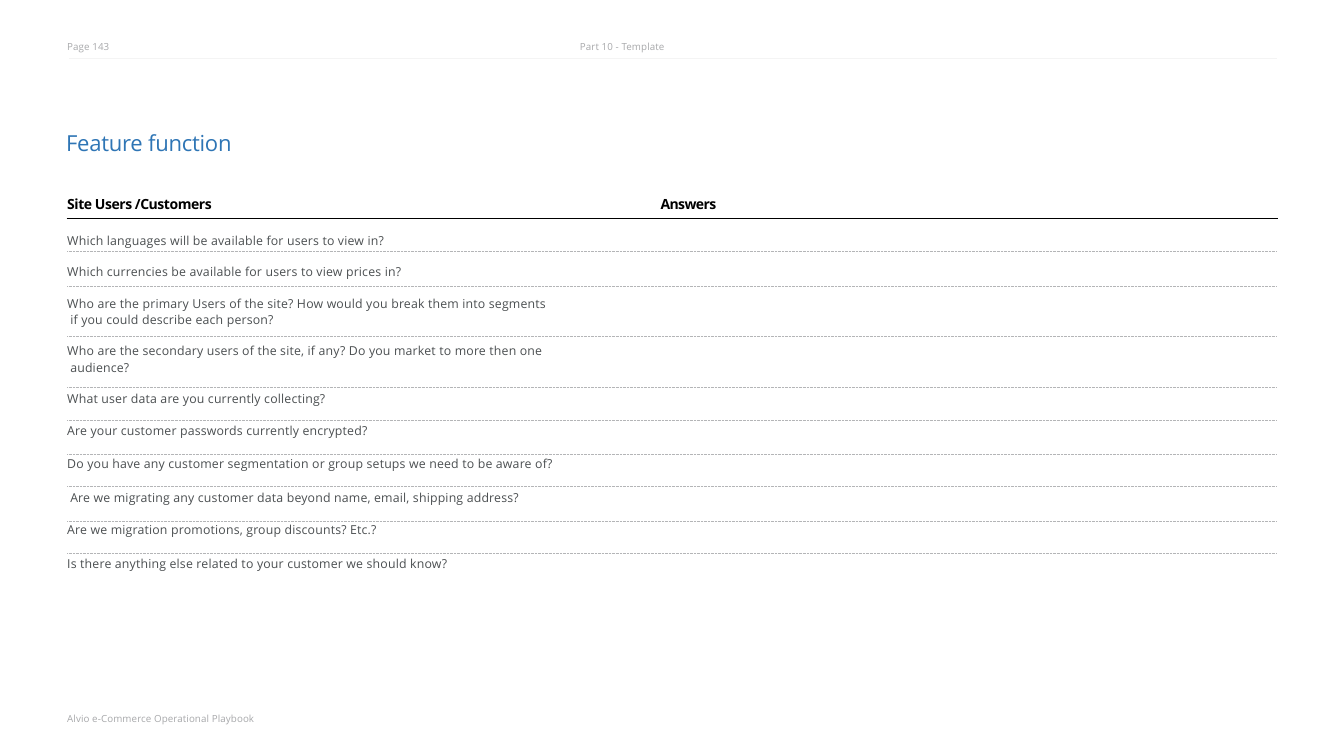
from lxml import etree
from pptx import Presentation
from pptx.dml.color import RGBColor
from pptx.enum.shapes import MSO_CONNECTOR
from pptx.enum.text import MSO_ANCHOR, MSO_AUTO_SIZE, PP_ALIGN
from pptx.oxml.ns import qn
from pptx.util import Inches, Pt

FONT = "Open Sans"
BLUE = RGBColor(0x2E, 0x75, 0xB5)
BLACK = RGBColor(0, 0, 0)
TEXT_GREY = RGBColor(0x4B, 0x4F, 0x51)
LABEL_GREY = RGBColor(0xA7, 0xA8, 0xAA)
DOT_GREY = RGBColor(0xB4, 0xB5, 0xB7)
PALE_GREY = RGBColor(0xF4, 0xF4, 0xF4)

LEFT, RIGHT = 1.09, 20.91
HANG = 0.05

# Question, space before in points
QUESTIONS = [
    ("Which languages will be available for users to view in?", 0),
    ("Which currencies be available for users to view prices in?", 16.5),
    ("Who are the primary Users of the site? How would you break them "
     "into segments if you could describe each person?", 17.7),
    ("Who are the secondary users of the site, if any? Do you market to "
     "more then one audience?", 16.5),
    ("What user data are you currently collecting?", 17),
    ("Are your customer passwords currently encrypted?", 17.7),
    ("Do you have any customer segmentation or group setups we need to "
     "be aware of?", 18.8),
    ("Are we migrating any customer data beyond name, email, shipping "
     "address?", 20),
    ("Are we migration promotions, group discounts? Etc.?", 18.3),
    ("Is there anything else related to your customer we should know?", 19.8),
]
INDENTED = 7  # this question starts at the hanging indent
DIVIDERS = [4.12, 4.68, 5.5, 6.33, 6.88, 7.43, 7.96, 8.53, 9.06]


def place(s, left, top, width, height, inset=0.01):
    s.left, s.top = Inches(left), Inches(top)
    s.width, s.height = Inches(width), Inches(height)
    tf = s.text_frame
    tf.word_wrap = True
    tf.auto_size = MSO_AUTO_SIZE.NONE
    tf.vertical_anchor = MSO_ANCHOR.TOP
    tf.margin_left = tf.margin_right = tf.margin_bottom = 0
    tf.margin_top = Inches(inset)
    return tf


def write(p, text, size=11.5, color=LABEL_GREY, bold=False, spacing=0.1,
          before=0, line_spacing=1.0):
    """Fill a paragraph; spacing is the letter spacing in points."""
    p.alignment = PP_ALIGN.LEFT
    p.space_before = Pt(before)
    p.line_spacing = line_spacing
    r = p.add_run()
    r.text = text
    r.font.name, r.font.size, r.font.bold = FONT, Pt(size), bold
    r.font.color.rgb = color
    r._r.get_or_add_rPr().set("spc", str(round(spacing * 100)))


def add_label(slide, text, left, top, width, height, inset=0.01, **style):
    s = slide.shapes.add_textbox(0, 0, 0, 0)
    tf = place(s, left, top, width, height, inset)
    tf.margin_left = Inches(0.01)
    write(tf.paragraphs[0], text, **style)


def add_rule(slide, y, color, left=LEFT, right=RIGHT, weight=0.82,
             dotted=False):
    s = slide.shapes.add_connector(MSO_CONNECTOR.STRAIGHT, Inches(left),
                                   Inches(y), Inches(right), Inches(y))
    s.line.color.rgb = color
    s.line.width = Pt(weight)
    spPr = s._element.spPr
    if dotted:
        etree.SubElement(spPr.find(qn("a:ln")), qn("a:prstDash"), val="sysDot")
    etree.SubElement(spPr, qn("a:effectLst"))


def add_questions(slide):
    tf = place(slide.placeholders[1], LEFT, 3.76, 8.02, 5.77, 0.02)
    for i, (question, before) in enumerate(QUESTIONS):
        p = tf.paragraphs[0] if i == 0 else tf.add_paragraph()
        pPr = p._p.get_or_add_pPr()
        pPr.set("marL", str(Inches(HANG + 0.01)))
        pPr.set("indent", str(0 if i == INDENTED else -Inches(HANG)))
        etree.SubElement(pPr, qn("a:buNone"))
        write(p, question, size=14.5, color=TEXT_GREY, spacing=0.2,
              before=before, line_spacing=1.14)


def main():
    prs = Presentation()
    prs.slide_width, prs.slide_height = Inches(21.99), Inches(12.37)
    slide = prs.slides.add_slide(prs.slide_layouts[1])

    add_rule(slide, 0.95, PALE_GREY, 1.13, 20.89, weight=0.5)
    add_label(slide, "Page 143", LEFT, 0.65, 1, 0.22)
    add_label(slide, "Part 10 - Template", 9.48, 0.65, 1.7, 0.22)

    tf = place(slide.shapes.title, 1.08, 2.1, 3.2, 0.47, 0.02)
    write(tf.paragraphs[0], "Feature function", size=26, color=BLUE,
          spacing=-0.3)

    for text, left, spacing in (("Site Users /Customers", LEFT, -0.5),
                                ("Answers", 10.8, -0.7)):
        add_label(slide, text, left, 3.19, 2.8, 0.3, size=16.5, color=BLACK,
                  bold=True, spacing=spacing)
    add_rule(slide, 3.58, BLACK)

    add_questions(slide)
    for y in DIVIDERS:
        add_rule(slide, y, DOT_GREY, 1.1, 20.89, dotted=True)

    add_label(slide, "Alvio e-Commerce Operational Playbook", LEFT, 11.63,
              3.6, 0.25, inset=0.03)
    prs.save("out.pptx")


if __name__ == "__main__":
    main()
